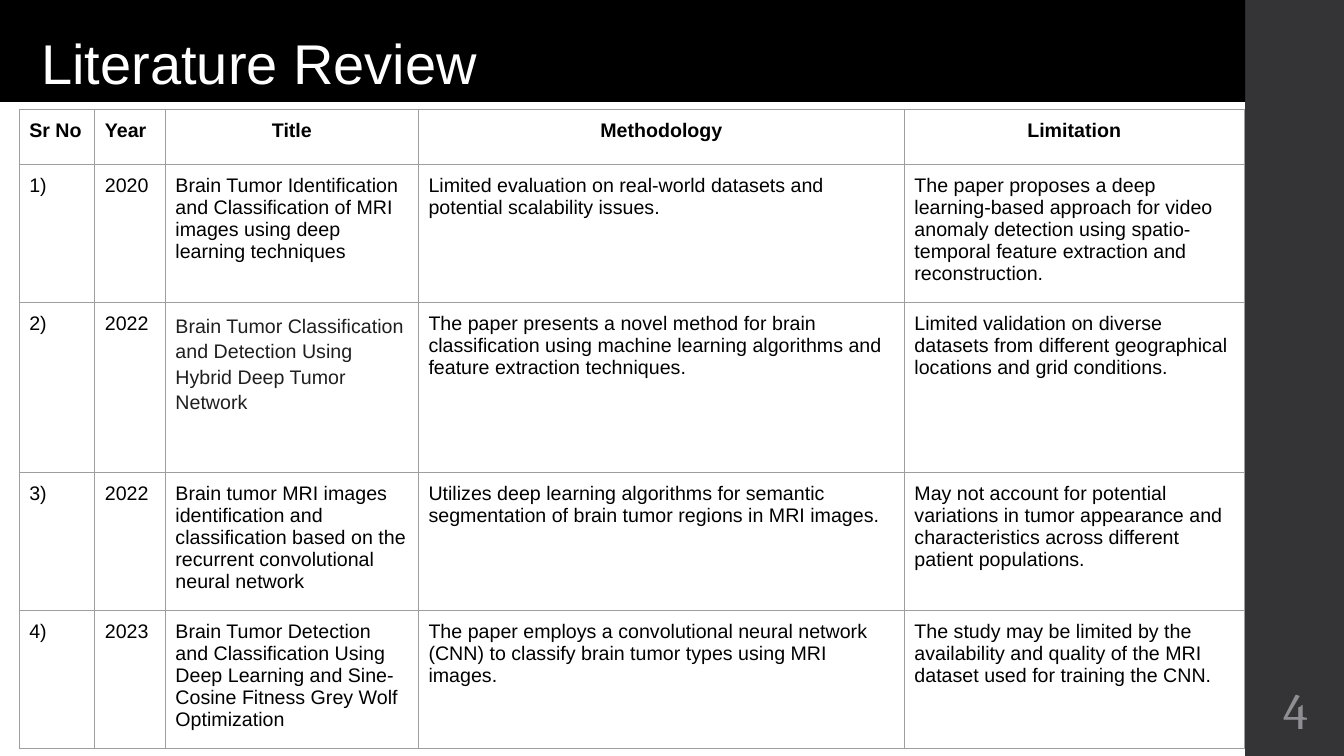
from lxml import etree
from pptx import Presentation
from pptx import util as u
from pptx.dml.color import RGBColor
from pptx.enum import shapes, text
from pptx.oxml import ns

ROWS = [
    ("Sr No", "Year", "Title", "Methodology", "Limitation"),
    ("1)", "2020",
     "Brain Tumor Identification and Classification of MRI images using deep learning techniques",
     "Limited evaluation on real-world datasets and potential scalability issues.",
     "The paper proposes a deep learning-based approach for video anomaly detection using "
     "spatio-temporal feature extraction and reconstruction."),
    ("2)", "2022",
     "Brain Tumor Classification and Detection Using Hybrid Deep Tumor Network",
     "The paper presents a novel method for brain classification using machine learning "
     "algorithms and feature extraction techniques.",
     "Limited validation on diverse datasets from different geographical locations and grid conditions."),
    ("3)", "2022",
     "Brain tumor MRI images identification and classification based on the recurrent "
     "convolutional neural network",
     "Utilizes deep learning algorithms for semantic segmentation of brain tumor regions in MRI images.",
     "May not account for potential variations in tumor appearance and characteristics across "
     "different patient populations."),
    ("4)", "2023",
     "Brain Tumor Detection and Classification Using Deep Learning and Sine-Cosine Fitness "
     "Grey Wolf Optimization",
     "The paper employs a convolutional neural network (CNN) to classify brain tumor types using MRI images.",
     "The study may be limited by the availability and quality of the MRI dataset used for training the CNN."),
]
COLS = [0.75, 0.7, 2.51, 4.82, 3.37]
HEIGHTS = [0.54, 1.37, 1.69, 1.37, 1.37]
ALIGN = text.PP_ALIGN


def rgb(value):
    return RGBColor.from_string(value)


def write(tf, content, font, size, color, bold=False, **paragraph):
    p = tf.paragraphs[0]
    for name, value in paragraph.items():
        setattr(p, name, value)
    r = p.add_run()
    r.text = content
    for name, value in {"name": font, "size": u.Pt(size), "bold": bold}.items():
        setattr(r.font, name, value)
    r.font.color.rgb = rgb(color)


prs = Presentation()
prs.slide_width, prs.slide_height = u.Inches(13.33), u.Inches(7.5)
s = prs.slides.add_slide(prs.slide_layouts[6])

bars = []
for x, w, h, color in [(12.35, 0.98, 7.5, "343437"), (0, 12.35, 1.01, "000000")]:
    sp = s.shapes.add_shape(shapes.MSO_SHAPE.RECTANGLE, u.Inches(x), 0, u.Inches(w), u.Inches(h))
    sp.shadow.inherit = False
    sp.fill.solid()
    sp.fill.fore_color.rgb = rgb(color)
    sp.line.fill.background()
    bars.append(sp)

tf = bars[1].text_frame
tf.margin_left = u.Inches(0.41)
tf.vertical_anchor = text.MSO_ANCHOR.BOTTOM
write(tf, "Literature Review", "Arial", 40, "FFFFFF", alignment=ALIGN.LEFT, line_spacing=0.9)

page = s.shapes.add_textbox(u.Inches(12.35), u.Inches(6.75), u.Inches(1), u.Inches(0.65))
tf = page.text_frame
tf.word_wrap = True
tf.vertical_anchor = text.MSO_ANCHOR.MIDDLE
for side in ("left", "right", "top", "bottom"):
    setattr(tf, f"margin_{side}", u.Inches(0.05))
write(tf, "4", "Cambria", 36, "8E8E93", alignment=ALIGN.CENTER, line_spacing=0.9)

frame = s.shapes.add_table(len(ROWS), len(COLS), u.Inches(0.19), u.Inches(1.09),
                           u.Inches(sum(COLS)), u.Inches(sum(HEIGHTS)))
table = frame.table
table.first_row = table.horz_banding = False
for col, w in zip(table.columns, COLS):
    col.width = u.Inches(w)
for row, h in zip(table.rows, HEIGHTS):
    row.height = u.Inches(h)

for i, row in enumerate(ROWS):
    for j, content in enumerate(row):
        cell = table.cell(i, j)
        for side in ("left", "right", "top", "bottom"):
            setattr(cell, f"margin_{side}", u.Inches(0.1))
        tcPr = cell._tc.get_or_add_tcPr()
        for edge in ("a:lnL", "a:lnR", "a:lnT", "a:lnB"):
            ln = etree.SubElement(tcPr, ns.qn(edge), w=str(u.Pt(0.75)))
            fill = etree.SubElement(ln, ns.qn("a:solidFill"))
            etree.SubElement(fill, ns.qn("a:srgbClr"), val="9E9E9E")
        cell.fill.solid()
        cell.fill.fore_color.rgb = rgb("FFFFFF")
        paragraph = {"alignment": ALIGN.CENTER if i == 0 and j > 1 else ALIGN.LEFT}
        color = "000000"
        if (i, j) == (2, 2):
            color = "1F1F1F"
            paragraph.update(line_spacing=1.15, space_before=u.Pt(12), space_after=u.Pt(12))
        write(cell.text_frame, content, "Arial", 14, color, i == 0, **paragraph)

prs.save("out.pptx")
